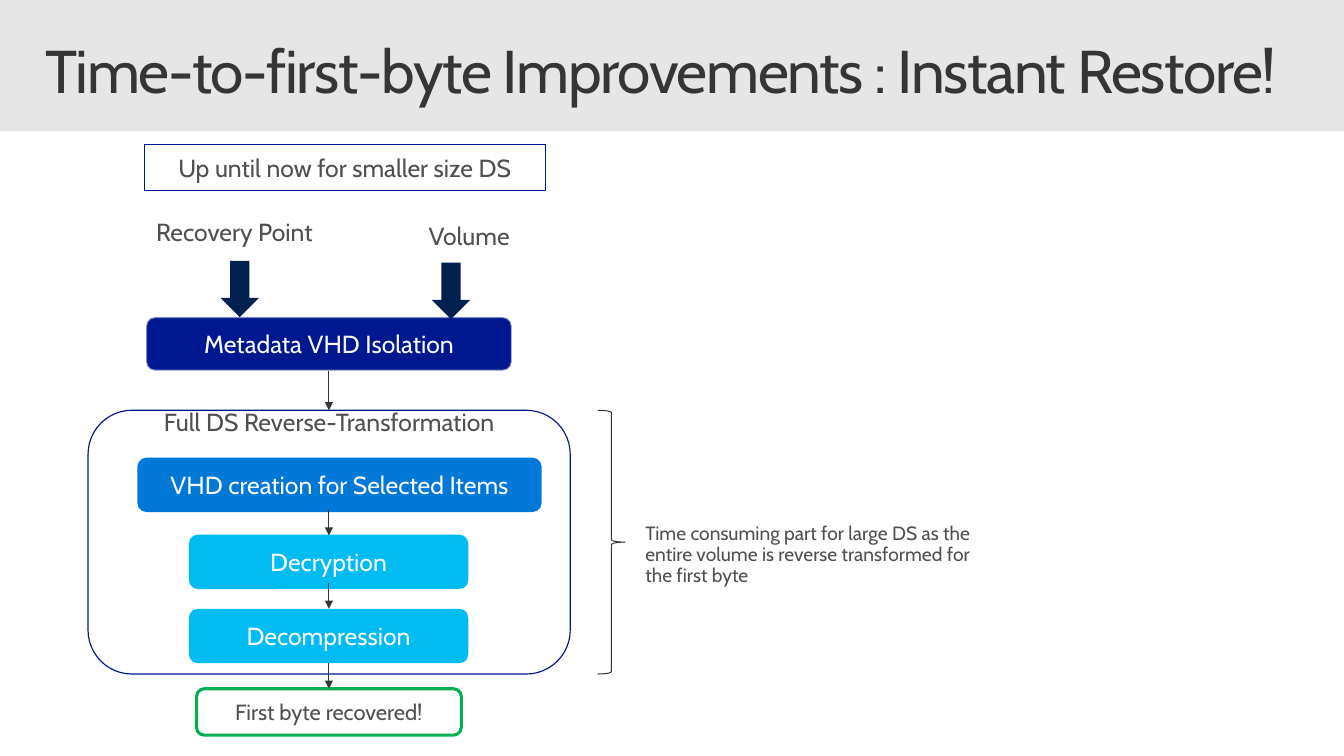
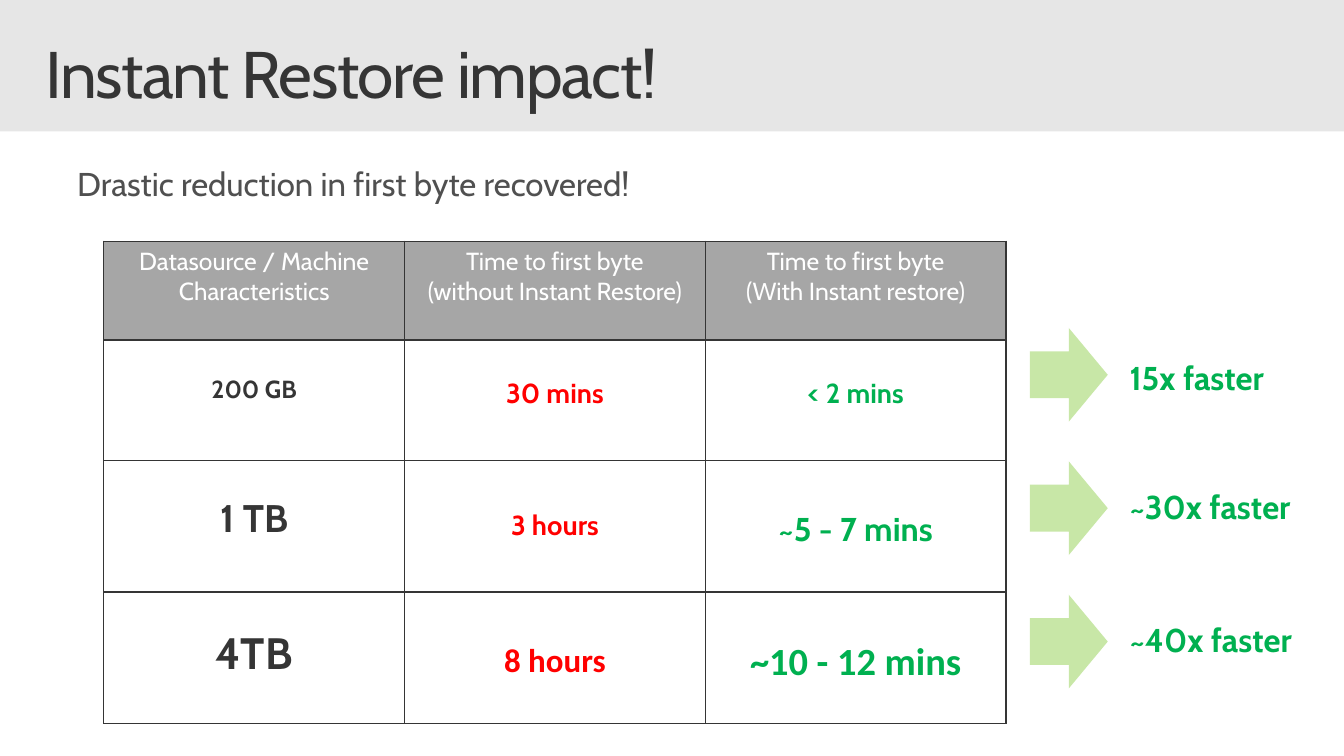
"""Build two slides on instant restore: the earlier flow and the measured impact."""
import dataclasses
import typing

import lxml.etree
import pptx
import pptx.dml.color
import pptx.dml.fill
import pptx.enum.shapes
import pptx.enum.text
import pptx.oxml.ns
import pptx.presentation
import pptx.shapes.autoshape
import pptx.slide
import pptx.table
import pptx.text.text
import pptx.util

SHAPES = pptx.enum.shapes.MSO_SHAPE
ALIGN = pptx.enum.text.PP_ALIGN
ANCHOR = pptx.enum.text.MSO_ANCHOR
SLIDE_WIDTH, SLIDE_HEIGHT = 13.6, 7.65
COLUMNS = 40
CELL = SLIDE_WIDTH / COLUMNS
ROWS = SLIDE_HEIGHT / CELL


@dataclasses.dataclass(frozen=True)
class Theme:
    """Colours, fonts and type sizes of the deck."""
    font: str = "Cabin"
    alternate_font: str = "Calibri"
    backdrop: str = "E6E6E6"
    white: str = "FFFFFF"
    ink: str = "353535"
    body: str = "505050"
    light: str = "F8F8F8"
    light_edge: str = "F9F9F9"
    navy: str = "00188F"
    deep_blue: str = "002050"
    blue: str = "0078D7"
    cyan: str = "00BCF2"
    green: str = "00B050"
    lime: str = "92D050"
    red: str = "FF0000"
    header: str = "A6A6A6"
    note_size: int = 14
    result_size: int = 16
    label_size: int = 18
    value_size: int = 20
    lead_size: int = 24
    large_size: int = 28
    largest_size: int = 32
    long_title_size: int = 44
    title_size: int = 48


THEME = Theme()


class Area(typing.NamedTuple):
    """A rectangle in grid columns and rows."""
    column: float
    row: float
    width: float
    height: float


class Style(typing.NamedTuple):
    """Type style of a piece of text."""
    size: int = THEME.label_size
    color: str = THEME.body
    bold: bool = False
    font: str = THEME.font


class Look(typing.NamedTuple):
    """Fill and outline of a preset shape."""
    fill: str | None = None
    line: str | None = None
    line_width: float = 0.85
    fill_alpha: int = 100
    line_alpha: int = 100


class Box(typing.NamedTuple):
    """A shape of the flow with its centred text."""
    area: Area
    look: Look
    text: str = ""
    style: Style = Style(color=THEME.light)
    preset: SHAPES = SHAPES.ROUNDED_RECTANGLE


class Caption(typing.NamedTuple):
    """A free piece of text."""
    area: Area
    text: str
    style: Style = Style()
    align: ALIGN = ALIGN.LEFT
    insets: tuple[float, float] = (0.2, 0.16)


class Entry(typing.NamedTuple):
    """A table cell with its distance from cell top to text."""
    text: str
    style: Style
    top: float = 0.05
    spacing: float = 1.0
    fill: str = THEME.white


def grid(cells: float) -> pptx.util.Emu:
    """Convert grid cells to a length."""
    return pptx.util.Inches(cells * CELL)


def rgb(color: str) -> pptx.dml.color.RGBColor:
    """Convert a hex string to a colour."""
    return pptx.dml.color.RGBColor.from_string(color)


def paint(fill: pptx.dml.fill.FillFormat, color: str | None) -> None:
    """Set a solid fill, or none."""
    if color is None:
        fill.background()
    else:
        fill.solid()
        fill.fore_color.rgb = rgb(color)


def add_node(parent: lxml.etree._Element, tag: str, **attributes: str) -> lxml.etree._Element:
    """Append a drawing element."""
    return lxml.etree.SubElement(parent, pptx.oxml.ns.qn(tag), attributes)


def fade(parent: lxml.etree._Element, alpha: int) -> None:
    """Make the solid fill directly under an element translucent."""
    if alpha < 100:
        color = parent.find(f"{pptx.oxml.ns.qn('a:solidFill')}/{pptx.oxml.ns.qn('a:srgbClr')}")
        add_node(color, "a:alpha", val=str(alpha * 1000))


def write(frame: pptx.text.text.TextFrame, text: str, style: Style,
          align: ALIGN, spacing: float = 1.0, after: float = 0) -> None:
    """Fill a text frame and format its runs."""
    frame.text = text
    frame.word_wrap = True
    for paragraph in frame.paragraphs:
        paragraph.alignment = align
        paragraph.line_spacing = spacing
        paragraph.space_after = pptx.util.Pt(after)
        for run in paragraph.runs:
            run.font.name = style.font
            run.font.size = pptx.util.Pt(style.size)
            run.font.bold = style.bold
            run.font.color.rgb = rgb(style.color)


def set_insets(frame: pptx.text.text.TextFrame, side: float, edge: float) -> None:
    """Set the side and the top and bottom insets in inches."""
    frame.margin_left = frame.margin_right = pptx.util.Inches(side)
    frame.margin_top = frame.margin_bottom = pptx.util.Inches(edge)


def draw_box(slide: pptx.slide.Slide, box: Box) -> pptx.shapes.autoshape.Shape:
    """Draw a preset shape with optional text."""
    shape = slide.shapes.add_shape(box.preset, *map(grid, box.area))
    shape.shadow.inherit = False
    look = box.look
    paint(shape.fill, look.fill)
    fade(shape.element.spPr, look.fill_alpha)
    paint(shape.line.fill, look.line)
    if look.line:
        shape.line.width = pptx.util.Pt(look.line_width)
        fade(shape.element.spPr.find(pptx.oxml.ns.qn("a:ln")), look.line_alpha)
    if box.text:
        set_insets(shape.text_frame, 0, 0.05)
        shape.text_frame.vertical_anchor = ANCHOR.MIDDLE
        write(shape.text_frame, box.text, box.style, ALIGN.CENTER)
    return shape


def draw_caption(slide: pptx.slide.Slide, caption: Caption) -> None:
    """Draw a text box."""
    frame = slide.shapes.add_textbox(*map(grid, caption.area)).text_frame
    set_insets(frame, *caption.insets)
    write(frame, caption.text, caption.style, caption.align, 0.9, 6)


def draw_flow_arrow(slide: pptx.slide.Slide, column: float, start: float, end: float) -> None:
    """Draw a thin vertical arrow."""
    arrow = slide.shapes.add_connector(
        pptx.enum.shapes.MSO_CONNECTOR.STRAIGHT, *map(grid, (column, start, column, end)))
    paint(arrow.line.fill, THEME.ink)
    arrow.line.width = pptx.util.Pt(0.75)
    properties = arrow.element.spPr
    add_node(properties.find(pptx.oxml.ns.qn("a:ln")), "a:tailEnd", type="triangle")
    add_node(properties, "a:effectLst")


def fill_cell(cell: pptx.table._Cell, entry: Entry) -> None:
    """Write, border and fill one table cell."""
    write(cell.text_frame, entry.text, entry.style, ALIGN.CENTER, entry.spacing)
    cell.margin_top = pptx.util.Inches(entry.top)
    properties = cell._tc.get_or_add_tcPr()
    for side in ("L", "R", "T", "B"):
        border = add_node(properties, f"a:ln{side}", w=str(pptx.util.Pt(1)))
        add_node(add_node(border, "a:solidFill"), "a:srgbClr", val=THEME.ink)
    paint(cell.fill, entry.fill)


def add_titled_slide(deck: pptx.presentation.Presentation, title: str, size: int) -> pptx.slide.Slide:
    """Add a title-only slide with the shared title style."""
    slide = deck.slides.add_slide(deck.slide_layouts[5])
    heading = slide.shapes.title
    heading.left, heading.top, heading.width, heading.height = map(grid, Area(0.88, 0.94, 38.24, 2.94))
    frame = heading.text_frame
    set_insets(frame, 0.16, 0.1)
    frame.vertical_anchor = ANCHOR.TOP
    frame.auto_size = pptx.enum.text.MSO_AUTO_SIZE.NONE
    write(frame, title, Style(size, THEME.ink), ALIGN.LEFT, 0.9)
    for run in frame.paragraphs[0].runs:
        run.font._element.set("spc", "-100")
    return slide


def share_backdrop(deck: pptx.presentation.Presentation, slide: pptx.slide.Slide) -> None:
    """Place the grey background and the white content area behind all slides."""
    paint(deck.slide_master.background.fill, THEME.backdrop)
    content = draw_box(slide, Box(Area(0, 3.91, COLUMNS, ROWS - 3.91), Look(THEME.white),
                                  preset=SHAPES.RECTANGLE))
    slide.slide_layout.shapes.element.insert(2, content.element)


def build_flow(slide: pptx.slide.Slide) -> None:
    """Draw the restore flow used so far."""
    spine, step_height, stage_top, stage_height = 9.79, 1.62, 12.21, 7.85
    outline = Look(THEME.white, THEME.navy)
    boxes = [
        Box(Area(4.29, 4.29, 11.94, 1.38), outline, "Up until now for smaller size DS",
            Style(), SHAPES.RECTANGLE),
        Box(Area(17.79, stage_top, 0.82, stage_height), Look(None, THEME.ink, 0.75),
            preset=SHAPES.RIGHT_BRACE),
        Box(Area(4.35, 9.44, 10.88, 1.59), Look(THEME.navy, THEME.light_edge, 1.35, line_alpha=50),
            "Metadata VHD Isolation"),
        Box(Area(2.62, stage_top, 14.35, stage_height), outline),
        Box(Area(4.09, 13.62, 12.03, step_height), Look(THEME.blue), "VHD creation for Selected Items"),
        Box(Area(5.85, 20.5, 7.88, 1.38), Look(None, THEME.green, 2.25), "First byte recovered!",
            Style(THEME.result_size)),
    ]
    boxes += [Box(Area(5.62, row, 8.32, step_height), Look(THEME.cyan), step)
              for row, step in ((15.91, "Decryption"), (18.12, "Decompression"))]
    boxes += [Box(Area(column, row, 1.15, 1.68), Look(THEME.deep_blue), preset=SHAPES.DOWN_ARROW)
              for column, row in ((6.56, 7.76), (12.85, 7.82))]
    for box in boxes:
        draw_box(slide, box)
    for caption in (
        Caption(Area(2.8, 6.15, 8.35, 1.76), "Recovery Point", align=ALIGN.CENTER),
        Caption(Area(9.79, 6.26, 8.35, 1.76), "Volume", align=ALIGN.CENTER),
        Caption(Area(2.62, stage_top, 14.35, 0.9), "Full DS Reverse-Transformation",
                align=ALIGN.CENTER, insets=(0, 0)),
        Caption(Area(18.62, 15.12, 11.35, 2.82),
                "Time consuming part for large DS as the entire volume is reverse transformed "
                "for the first byte", Style(THEME.note_size)),
    ):
        draw_caption(slide, caption)
    for start, end in ((11.03, stage_top), (15.18, 15.94), (17.36, 18.12), (19.74, 20.5)):
        draw_flow_arrow(slide, spine, start, end)


def build_impact(slide: pptx.slide.Slide) -> None:
    """Draw the table of recovery times with the speed gains."""
    draw_caption(slide, Caption(Area(1.71, 4.53, 37.41, 2.03), "Drastic reduction in first byte recovered!",
                                Style(THEME.lead_size)))
    headings = ("Datasource / Machine\nCharacteristics", "Time to first byte\n(without Instant Restore)",
                "Time to first byte\n(With Instant restore)")
    source = Style(color=THEME.ink, bold=True)
    slow = Style(THEME.value_size, THEME.red, True)
    fast = slow._replace(color=THEME.green)
    entries = (
        [Entry(heading, Style(color=THEME.white), fill=THEME.header) for heading in headings],
        [Entry("200 GB", source, 0.35), Entry("30 mins", slow, 0.35, 1.07),
         Entry("< 2 mins", fast, 0.35, 1.07)],
        [Entry("1 TB", source._replace(size=THEME.large_size), 0.35), Entry("3 hours", slow, 0.47, 1.07),
         Entry("~5 - 7 mins", fast._replace(size=THEME.lead_size), 0.47, 1.07)],
        [Entry("4TB", source._replace(size=THEME.largest_size), 0.35),
         Entry("8 hours", slow._replace(size=THEME.lead_size, font=THEME.alternate_font), 0.47, 1.07),
         Entry("~10 - 12 mins", fast._replace(size=THEME.large_size, font=THEME.alternate_font), 0.44, 1.07)],
    )
    heights = (2.94, 3.59, 3.91, 3.91)
    area = Area(3.09, 7.18, 26.85, sum(heights))
    table = slide.shapes.add_table(len(heights), len(headings), *map(grid, area)).table
    table.first_row = table.horz_banding = False
    for row, height, line in zip(table.rows, heights, entries):
        row.height = grid(height)
        for cell, entry in zip(row.cells, line):
            fill_cell(cell, entry)
    gains = (("15x faster", 10.29), ("~30x faster", 14.15), ("~40x faster", 18.09))
    for index, (gain, row) in enumerate(gains):
        draw_box(slide, Box(Area(30.65, 9.76 + 3.97 * index, 2.32, 2.79), Look(THEME.lime, fill_alpha=50),
                            preset=SHAPES.RIGHT_ARROW))
        draw_caption(slide, Caption(Area(33.03, row, 6.97, 2.03), gain,
                                    Style(THEME.lead_size, THEME.green, True)))


def main() -> None:
    """Build and save the deck."""
    deck = pptx.Presentation()
    deck.slide_width, deck.slide_height = grid(COLUMNS), grid(ROWS)
    flow = add_titled_slide(deck, "Time-to-first-byte Improvements : Instant Restore!", THEME.long_title_size)
    share_backdrop(deck, flow)
    build_flow(flow)
    build_impact(add_titled_slide(deck, "Instant Restore impact!", THEME.title_size))
    deck.save("out.pptx")


if __name__ == "__main__":
    main()
